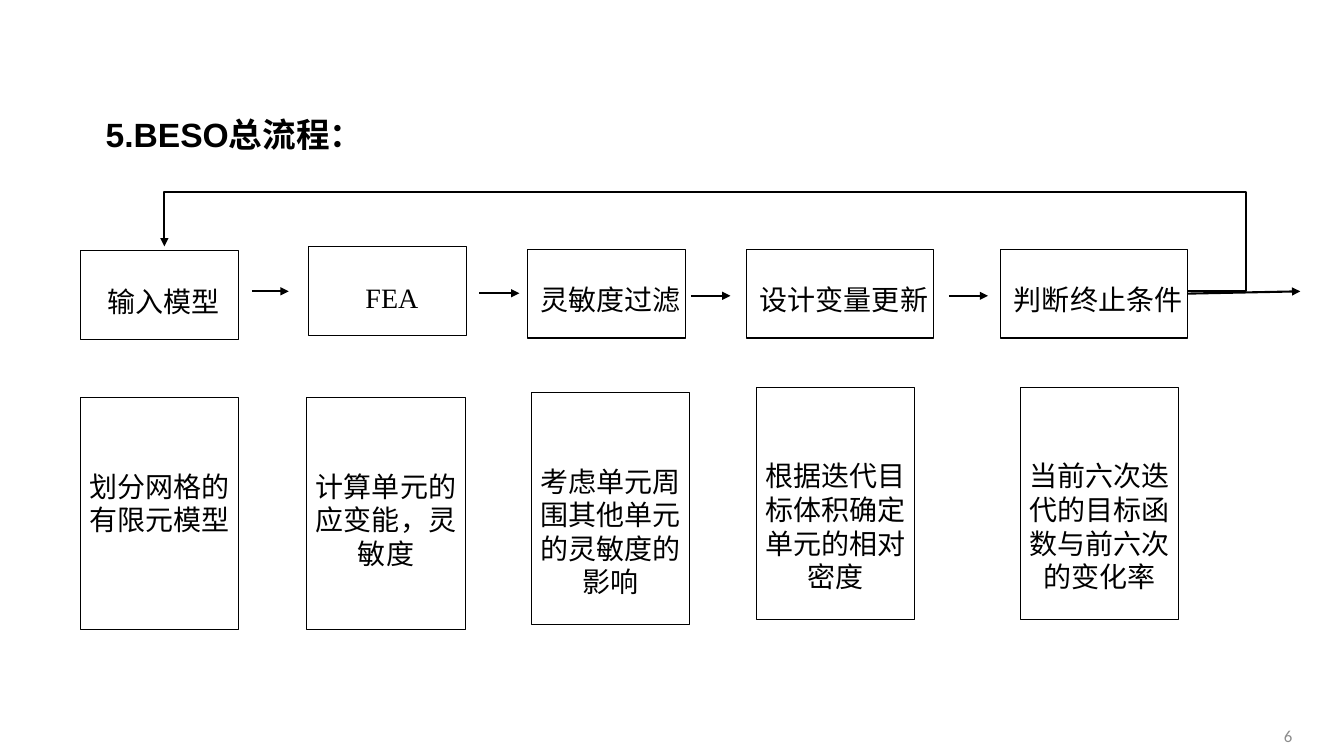
"""Build the slide showing the overall BESO workflow."""
from dataclasses import dataclass

from lxml import etree
from pptx import Presentation
from pptx.dml.color import RGBColor
from pptx.enum.shapes import MSO_CONNECTOR, MSO_SHAPE
from pptx.enum.text import MSO_ANCHOR, PP_ALIGN
from pptx.oxml.ns import qn
from pptx.util import Pt

RECT = MSO_SHAPE.RECTANGLE
STRAIGHT, ELBOW = MSO_CONNECTOR.STRAIGHT, MSO_CONNECTOR.ELBOW
TOP, MIDDLE = MSO_ANCHOR.TOP, MSO_ANCHOR.MIDDLE
LEFT, CENTER, RIGHT = PP_ALIGN.LEFT, PP_ALIGN.CENTER, PP_ALIGN.RIGHT
COLORS = {"ink": "000000", "paper": "FFFFFF", "number": "8C8C8C"}
STEP_H, DETAIL_W, DETAIL_H = 63.5, 113, 165.6
RIGHT_SIDE = 3


@dataclass
class Step:
    label: str
    x: float
    y: float
    w: float
    detail: str
    detail_x: float
    detail_y: float


@dataclass
class Arrow:
    x1: float
    x2: float
    y: float


STEPS = [
    Step("输入模型", 57.6, 179.3, 113, "划分网格的有限元模型", 57.6, 284.2),
    Step("FEA", 220.5, 176.2, 113, "计算单元的应变能，灵敏度", 219.3, 284.2),
    Step("灵敏度过滤", 376.7, 178, 113, "考虑单元周围其他单元的灵敏度的影响", 379.8, 280.5),
    Step("设计变量更新", 533.2, 178, 133.3, "根据迭代目标体积确定单元的相对密度", 540.2, 276.8),
    Step("判断终止条件", 714.7, 178, 133.3, "当前六次迭代的目标函数与前六次的变化率", 729, 276.8),
]
ARROWS = [
    Arrow(180, 206.2, 208.1),
    Arrow(342.4, 371, 209.5),
    Arrow(493.5, 521.8, 211.3),
    Arrow(677.8, 705.8, 211.3),
]


def color(name: str) -> RGBColor:
    return RGBColor.from_string(COLORS[name])


def write(s, text: str, size: float, font: str, align, anchor=TOP,
          ink: str = "ink", bold: bool = False) -> None:
    tf = s.text_frame
    tf.word_wrap = True
    tf.vertical_anchor = anchor
    tf.text = text
    p = tf.paragraphs[0]
    p.alignment = align
    r = p.runs[0]
    r.font.size = Pt(size)
    r.font.name = font
    r.font.bold = bold
    r.font.color.rgb = color(ink)


def add_box(slide, text: str, x: float, y: float, w: float, h: float,
            left: float, top: float, right: float):
    s = slide.shapes.add_shape(RECT, Pt(x), Pt(y), Pt(w), Pt(h))
    s.shadow.inherit = False
    s.fill.solid()
    s.fill.fore_color.rgb = color("paper")
    s.line.color.rgb = color("ink")
    s.line.width = Pt(0.75)
    write(s, text, 20, "Times New Roman", CENTER)
    tf = s.text_frame
    tf.margin_left, tf.margin_top, tf.margin_right = Pt(left), Pt(top), Pt(right)
    tf.margin_bottom = Pt(0)
    return s


def add_arrow(slide, kind, x1: float, y1: float, x2: float, y2: float):
    c = slide.shapes.add_connector(kind, Pt(x1), Pt(y1), Pt(x2), Pt(y2))
    c.line.color.rgb = color("ink")
    c.line.width = Pt(1.5)
    etree.SubElement(c.line._get_or_add_ln(), qn("a:tailEnd"), type="triangle")
    etree.SubElement(c._element.spPr, qn("a:effectLst"))
    return c


def add_loop(slide) -> None:
    c = add_arrow(slide, ELBOW, 848.2, 208.1, 117.4, 176)
    xfrm = c._element.spPr.find(qn("a:xfrm"))
    for flip in ("flipH", "flipV"):
        xfrm.attrib.pop(flip, None)
    xfrm.set("rot", "10800000")
    geom = c._element.spPr.find(qn("a:prstGeom"))
    geom.set("prst", "bentConnector4")
    guides = geom.find(qn("a:avLst"))
    for name, value in (("adj1", -5700), ("adj2", 221800)):
        etree.SubElement(guides, qn("a:gd"), name=name, fmla=f"val {value}")


def add_text(slide, x: float, y: float, w: float, h: float, *args, **kwargs) -> None:
    s = slide.shapes.add_textbox(Pt(x), Pt(y), Pt(w), Pt(h))
    write(s, *args, **kwargs)


def main() -> None:
    prs = Presentation()
    prs.slide_width, prs.slide_height = Pt(960), Pt(540)
    slide = prs.slides.add_slide(prs.slide_layouts[6])

    add_text(slide, 68.4, 77.8, 807, 36, "5.BESO总流程：", 24, "Arial", LEFT, bold=True)
    for step in STEPS:
        box = add_box(slide, step.label, step.x, step.y, step.w, STEP_H, 7, 24, 1)
        add_box(slide, step.detail, step.detail_x, step.detail_y,
                DETAIL_W, DETAIL_H, 1.4, 51, 1.4)
    for arrow in ARROWS:
        add_arrow(slide, STRAIGHT, arrow.x1, arrow.y, arrow.x2, arrow.y)
    add_loop(slide)
    leave = add_arrow(slide, STRAIGHT, 848, 209.7, 928.8, 208.1)
    leave.begin_connect(box, RIGHT_SIDE)
    add_text(slide, 706.3, 517, 223.9, 16.6, "6", 12, "Calibri", RIGHT, MIDDLE, "number")

    prs.save("out.pptx")


if __name__ == "__main__":
    main()
